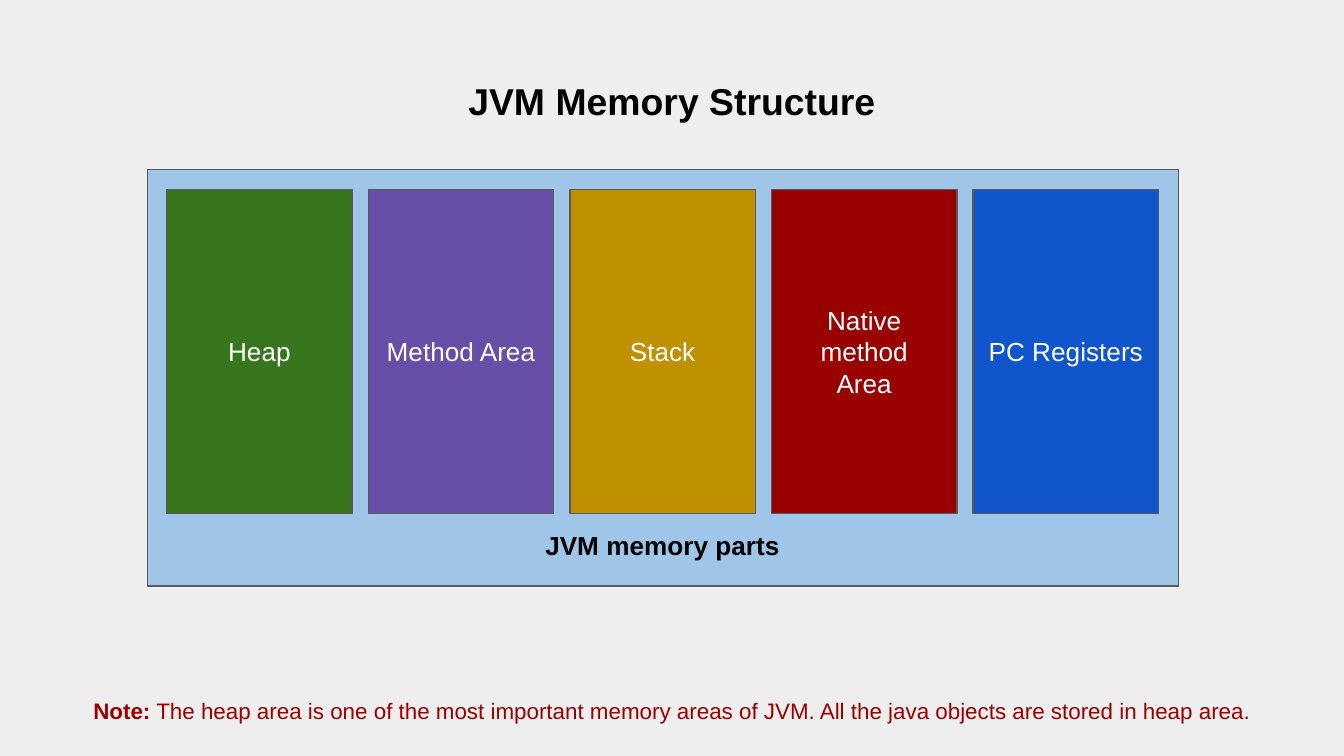
from pptx import Presentation
from pptx.dml.color import RGBColor
from pptx.enum.shapes import MSO_SHAPE as Shape
from pptx.enum.text import MSO_ANCHOR as Anchor, MSO_AUTO_SIZE as Auto, PP_ALIGN as Align
from pptx.util import Inches, Pt

# Content: each text is a list of paragraphs, each paragraph a list of (text, bold) runs
TITLE = [[("JVM Memory Structure", True)]]
CAPTION = [[("JVM memory parts", True)]]
NOTE = [[("Note:", True),
         (" The heap area is one of the most important memory areas of JVM. "
          "All the java objects are stored in heap area.", False)]]
AREAS = [
    (["Heap"], "38761D"),
    (["Method Area"], "674EA7"),
    (["Stack"], "BF9000"),
    (["Native method", "Area"], "990000"),
    (["PC Registers"], "1155CC"),
]

# Layout in inches: left, top, width, height
SLIDE_WIDTH = Inches(10)
SLIDE_HEIGHT = SLIDE_WIDTH * 9 // 16
TITLE_BOX = (0.37, 0.43, 9.26, 0.63)
PANEL = (1.1, 1.26, 7.67, 3.1)
FIRST_AREA = (1.24, 1.41, 1.38, 2.41)
AREA_STEP = 1.5
CAPTION_BOX = (3.1, 3.84, 3.66, 0.44)
NOTE_BOX = (0.37, 5.09, 9.27, 0.4)


def rgb(value):
    return RGBColor.from_string(value)


def set_attrs(obj, values):
    for name, value in values.items():
        setattr(obj, name, value)


def write(sp, paragraphs, size, color, anchor=Anchor.TOP, spacing=None):
    tf = sp.text_frame
    margins = {f"margin_{side}": Inches(0.1) for side in ("left", "top", "right", "bottom")}
    set_attrs(tf, {"word_wrap": True, "auto_size": Auto.NONE,
                   "vertical_anchor": anchor, **margins})
    for i, runs in enumerate(paragraphs):
        p = tf.add_paragraph() if i else tf.paragraphs[0]
        set_attrs(p, {"alignment": Align.CENTER, **(spacing or {})})
        for text, bold in runs:
            r = p.add_run()
            r.text = text
            set_attrs(r.font, {"name": "Arial", "size": Pt(size), "bold": bold})
            r.font.color.rgb = rgb(color)


def add_rect(shapes, box, fill):
    sp = shapes.add_shape(Shape.RECTANGLE, *map(Inches, box))
    sp.shadow.inherit = False
    sp.fill.solid()
    sp.fill.fore_color.rgb = rgb(fill)
    sp.line.color.rgb = rgb("595959")
    sp.line.width = Pt(0.75)
    return sp


def add_text(shapes, box, paragraphs, size, color):
    sp = shapes.add_textbox(*map(Inches, box))
    write(sp, paragraphs, size, color)
    sp.text_frame.auto_size = Auto.SHAPE_TO_FIT_TEXT


prs = Presentation()
set_attrs(prs, {"slide_width": SLIDE_WIDTH, "slide_height": SLIDE_HEIGHT})
s = prs.slides.add_slide(prs.slide_layouts[5])
s.background.fill.solid()
s.background.fill.fore_color.rgb = rgb("EEEEEE")

# Title
title = s.shapes.title
set_attrs(title, dict(zip(("left", "top", "width", "height"), map(Inches, TITLE_BOX))))
write(title, TITLE, 20, "000000", Anchor.TOP,
      {"line_spacing": 1.15, "space_before": Pt(12), "space_after": Pt(12)})

# Memory panel with one column per area
group = s.shapes.add_group_shape()
add_rect(group.shapes, PANEL, "9FC5E8")
left, top, width, height = FIRST_AREA
for col, (lines, fill) in enumerate(AREAS):
    sp = add_rect(group.shapes, (left + col * AREA_STEP, top, width, height), fill)
    write(sp, [[(line, False)] for line in lines], 14, "FFFFFF", Anchor.MIDDLE)

# Note and panel caption
add_text(s.shapes, NOTE_BOX, NOTE, 12, "990000")
add_text(s.shapes, CAPTION_BOX, CAPTION, 14, "000000")

prs.save("out.pptx")
